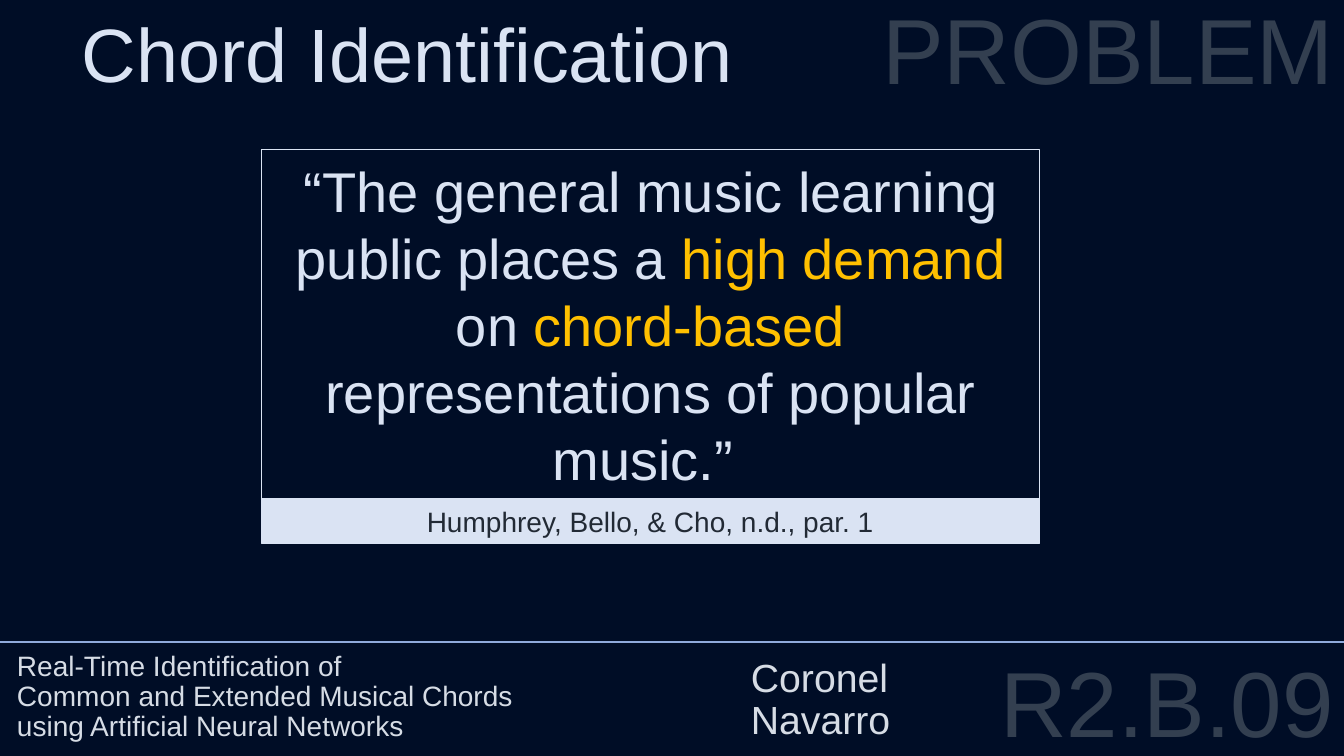
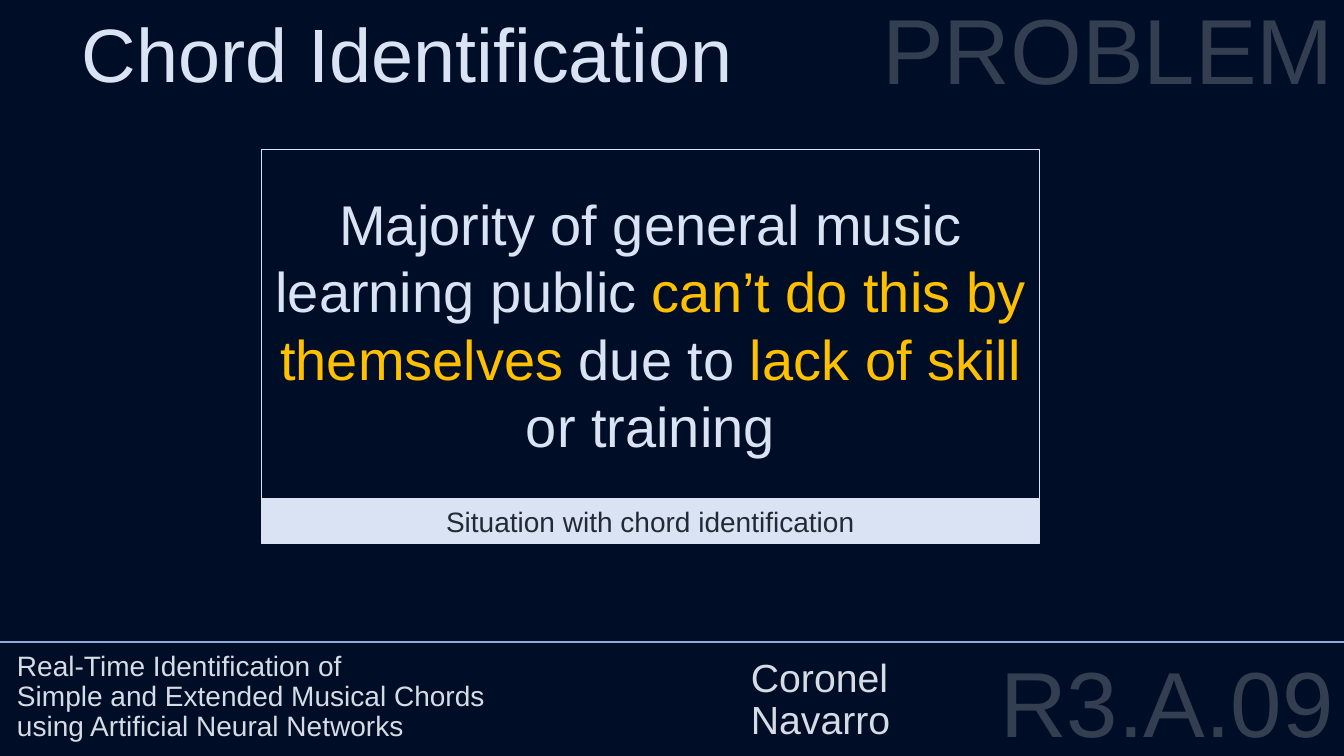
"""Build two chord identification slides with a shared title, section label and footer."""
import pptx
import pptx.dml.color
import pptx.enum.shapes
import pptx.enum.text
import pptx.oxml
import pptx.util

Inches = pptx.util.Inches
Pt = pptx.util.Pt
ALIGN = pptx.enum.text.PP_ALIGN
ANCHOR = pptx.enum.text.MSO_ANCHOR
RECTANGLE = pptx.enum.shapes.MSO_SHAPE.RECTANGLE

NAVY = "000D26"
PALE = "DAE3F3"
GOLD = "FFC000"
SLATE = "333F50"
INK = "222A35"
GREY = "D6DCE5"
RULE = "8FAADC"


def rgb(value):
    return pptx.dml.color.RGBColor.from_string(value)


def style(frame, size, color, align=ALIGN.LEFT, anchor=ANCHOR.TOP, spacing=1.0, before=0):
    frame.word_wrap = True
    frame.auto_size = pptx.enum.text.MSO_AUTO_SIZE.NONE
    frame.vertical_anchor = anchor
    for paragraph in frame.paragraphs:
        paragraph.alignment = align
        paragraph.line_spacing = spacing
        paragraph.space_before = Pt(before)
        for run in paragraph.runs:
            run.font.name = "Arial"
            run.font.size = Pt(size)
            run.font.color.rgb = rgb(color)


slides = [
    {
        "code": "R2.B.09",
        "scope": "Common",
        "statement": [
            ("“The general music learning public places a ", PALE),
            ("high demand ", GOLD),
            ("on ", PALE),
            ("chord-based", GOLD),
            (" representations of popular music.” ", PALE),
        ],
        "caption": "Humphrey, Bello, & Cho, n.d., par. 1",
    },
    {
        "code": "R3.A.09",
        "scope": "Simple",
        "statement": [
            ("Majority of general music learning public ", PALE),
            ("can’t do this by themselves", GOLD),
            (" due to ", PALE),
            ("lack of skill ", GOLD),
            ("or training", PALE),
        ],
        "caption": "Situation with chord identification",
    },
]

prs = pptx.Presentation()
prs.slide_width = Inches(13.33)
prs.slide_height = Inches(7.5)
background = prs.slide_master.background.fill
background.solid()
background.fore_color.rgb = rgb(NAVY)

for content in slides:
    slide = prs.slides.add_slide(prs.slide_layouts[5])
    shapes = slide.shapes

    title = shapes.title
    title.left, title.top = Inches(0.71), Inches(0.02)
    title.width, title.height = Inches(7.86), Inches(1.01)
    title.text_frame.text = "Chord Identification"
    style(title.text_frame, 54, PALE)

    footer_rule = shapes.add_connector(
        pptx.enum.shapes.MSO_CONNECTOR.STRAIGHT, 0, Inches(6.37), prs.slide_width, Inches(6.37)
    )
    footer_rule.line.color.rgb = rgb(RULE)
    footer_rule.line.width = Pt(1.5)
    footer_rule._element.spPr.append(pptx.oxml.parse_xml(
        '<a:effectLst xmlns:a="http://schemas.openxmlformats.org/drawingml/2006/main"/>'
    ))

    study = "\v".join([
        "Real-Time Identification of",
        f"{content['scope']} and Extended Musical Chords",
        "using Artificial Neural Networks",
    ])
    right_label = {"align": ALIGN.RIGHT, "before": 10}
    labels = [
        (content["code"], 8.46, 6.56, 4.87, 1.04, 66, SLATE, {"spacing": 0.8, **right_label}),
        ("PROBLEM", 2.22, 0, 11.11, 3.58, 66, SLATE, {"spacing": 0.9, **right_label}),
        ("Coronel\nNavarro", 7.35, 4.43, 5.1, 2.99, 28, GREY, {"spacing": 0.9, "anchor": ANCHOR.BOTTOM}),
        (study, 0.07, 4.43, 7.28, 2.99, 20, GREY, {"spacing": 0.9, "anchor": ANCHOR.BOTTOM}),
    ]
    for text, left, top, width, height, size, color, layout in labels:
        label = shapes.add_textbox(Inches(left), Inches(top), Inches(width), Inches(height))
        label.text_frame.text = text
        style(label.text_frame, size, color, **layout)

    statement = shapes.add_shape(RECTANGLE, Inches(2.59), Inches(1.48), Inches(7.72), Inches(3.47))
    caption = shapes.add_shape(RECTANGLE, Inches(2.59), Inches(4.95), Inches(7.72), Inches(0.44))
    for panel in (statement, caption):
        panel.shadow.inherit = False
        panel.line.color.rgb = rgb(PALE)
        panel.line.width = Pt(0.75)

    statement.fill.background()
    sentence = statement.text_frame.paragraphs[0]
    for phrase, color in content["statement"]:
        sentence.add_run().text = phrase
    style(statement.text_frame, 40, PALE, ALIGN.CENTER, ANCHOR.MIDDLE)
    for run, (phrase, color) in zip(sentence.runs, content["statement"]):
        run.font.color.rgb = rgb(color)

    caption.fill.solid()
    caption.fill.fore_color.rgb = rgb(PALE)
    caption.text_frame.text = content["caption"]
    style(caption.text_frame, 20, INK, ALIGN.CENTER, ANCHOR.MIDDLE)

prs.save("out.pptx")
